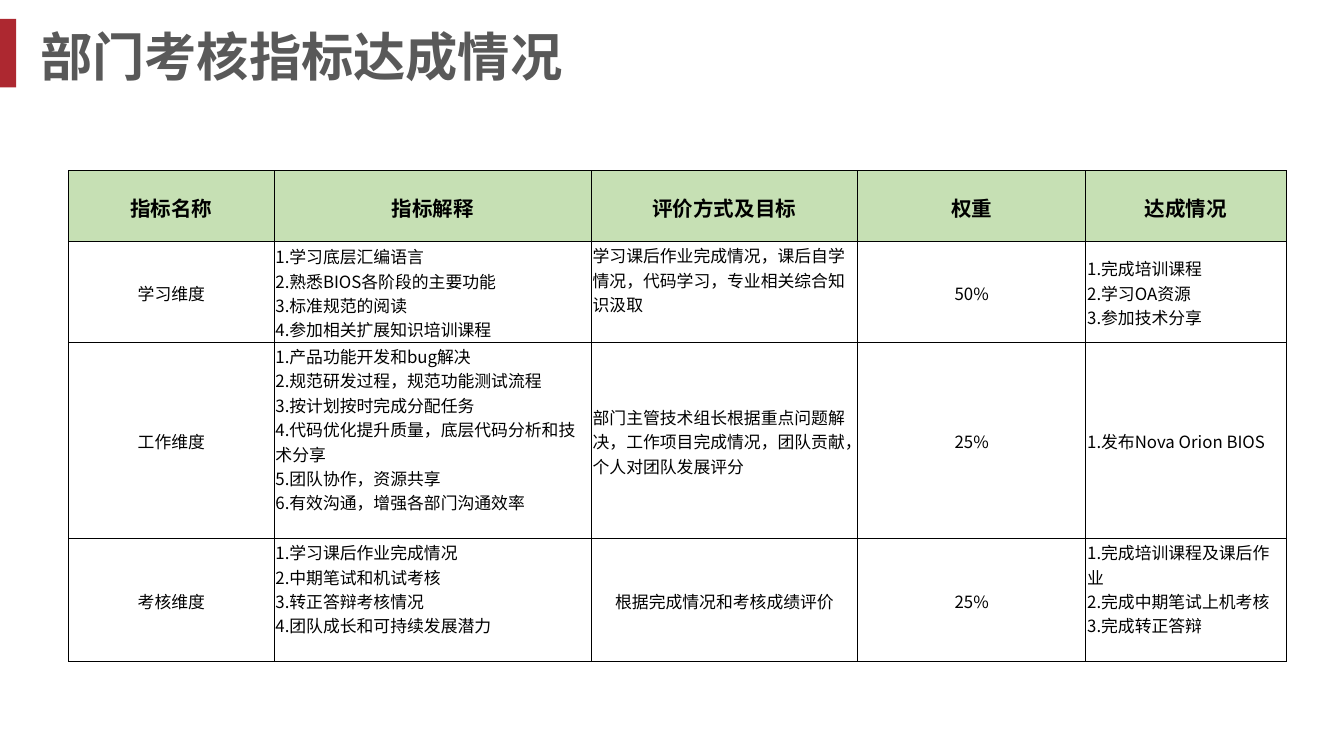
import pptx
import pptx.util
from pptx.dml.color import RGBColor
from pptx.enum.shapes import MSO_SHAPE
from pptx.enum.text import MSO_ANCHOR, PP_ALIGN
from pptx.oxml import parse_xml
from pptx.oxml.ns import nsdecls

Inches, Pt = pptx.util.Inches, pptx.util.Pt

# Content: a plain string is centred, a list holds left-aligned lines
HEADING = "部门考核指标达成情况"
HEADERS = ["指标名称", "指标解释", "评价方式及目标", "权重", "达成情况"]
DIMENSIONS = [
    ["学习维度",
     ["1.学习底层汇编语言", "2.熟悉BIOS各阶段的主要功能",
      "3.标准规范的阅读", "4.参加相关扩展知识培训课程"],
     ["学习课后作业完成情况，课后自学情况，代码学习，专业相关综合知识汲取"],
     "50%",
     ["1.完成培训课程", "2.学习OA资源", "3.参加技术分享"]],
    ["工作维度",
     ["1.产品功能开发和bug解决", "2.规范研发过程，规范功能测试流程",
      "3.按计划按时完成分配任务", "4.代码优化提升质量，底层代码分析和技术分享",
      "5.团队协作，资源共享", "6.有效沟通，增强各部门沟通效率"],
     ["部门主管技术组长根据重点问题解决，工作项目完成情况，团队贡献，个人对团队发展评分"],
     "25%",
     ["1.发布Nova Orion BIOS"]],
    ["考核维度",
     ["1.学习课后作业完成情况", "2.中期笔试和机试考核",
      "3.转正答辩考核情况", "4.团队成长和可持续发展潜力"],
     "根据完成情况和考核成绩评价",
     "25%",
     ["1.完成培训课程及课后作业", "2.完成中期笔试上机考核", "3.完成转正答辩"]],
]
TOP_CELLS = {(1, 2), (2, 1), (3, 1), (3, 4)}  # (row, column)

# Layout in inches, on a 16:9 slide
SLIDE_WIDTH = 10
COLUMNS = [1.53, 2.36, 1.98, 1.70, 1.49]
ROWS = [0.53, 0.75, 1.46, 0.91]
TABLE_LEFT, TABLE_TOP = 0.51, 1.27

FONT = "Noto Sans CJK SC"
COLORS = {"accent": "AD2830", "heading": "595959", "header": "C6E0B4", "ink": "000000"}


def color(name):
    return RGBColor.from_string(COLORS[name])


def add_text(paragraph, text, size, ink, bold):
    run = paragraph.add_run()
    run.text = text
    run.font.name, run.font.size, run.font.bold = FONT, Pt(size), bold
    run.font.color.rgb = color(ink)
    run.font._element.append(parse_xml(f'<a:ea {nsdecls("a")} typeface="{FONT}"/>'))


def add_borders(cell):
    properties = cell._tc.get_or_add_tcPr()
    for index, side in enumerate("LRTB"):
        properties.insert(index, parse_xml(
            f'<a:ln{side} {nsdecls("a")} w="{Pt(0.5)}"><a:solidFill>'
            f'<a:srgbClr val="{COLORS["ink"]}"/></a:solidFill></a:ln{side}>'))


def fill_cell(cell, content, is_header, is_top):
    cell.margin_left = cell.margin_right = cell.margin_top = Inches(0.01)
    cell.margin_bottom = 0
    cell.vertical_anchor = MSO_ANCHOR.TOP if is_top else MSO_ANCHOR.MIDDLE
    if is_header:
        cell.fill.solid()
        cell.fill.fore_color.rgb = color("header")
    else:
        cell.fill.background()
    add_borders(cell)
    centred = isinstance(content, str)
    frame = cell.text_frame
    for index, line in enumerate([content] if centred else content):
        paragraph = frame.add_paragraph() if index else frame.paragraphs[0]
        paragraph.alignment = PP_ALIGN.CENTER if centred else PP_ALIGN.LEFT
        add_text(paragraph, line, 11 if is_header else 9, "ink", is_header)


def main():
    deck = pptx.Presentation()
    deck.slide_width = Inches(SLIDE_WIDTH)
    deck.slide_height = Inches(SLIDE_WIDTH * 9 / 16)
    slide = deck.slides.add_slide(deck.slide_layouts[5])

    # Heading with accent bar
    accent = slide.shapes.add_shape(
        MSO_SHAPE.RECTANGLE, 0, Inches(0.14), Inches(0.12), Inches(0.51))
    accent.shadow.inherit = False
    accent.fill.solid()
    accent.fill.fore_color.rgb = color("accent")
    accent.line.fill.background()

    heading = slide.shapes.title
    heading.left, heading.top = Inches(0.2), Inches(0.14)
    heading.width, heading.height = Inches(8.11), Inches(0.55)
    heading.text_frame.vertical_anchor = MSO_ANCHOR.MIDDLE
    heading_line = heading.text_frame.paragraphs[0]
    heading_line.alignment = PP_ALIGN.LEFT
    add_text(heading_line, HEADING, 28, "heading", True)

    # Assessment table
    table = slide.shapes.add_table(
        len(ROWS), len(COLUMNS), Inches(TABLE_LEFT), Inches(TABLE_TOP),
        Inches(sum(COLUMNS)), Inches(sum(ROWS))).table
    table.first_row = table.horz_banding = False
    for column, width in zip(table.columns, COLUMNS):
        column.width = Inches(width)
    for row, height in zip(table.rows, ROWS):
        row.height = Inches(height)
    for r, contents in enumerate([HEADERS] + DIMENSIONS):
        for c, content in enumerate(contents):
            fill_cell(table.cell(r, c), content, r == 0, (r, c) in TOP_CELLS)

    deck.save("out.pptx")


if __name__ == "__main__":
    main()
